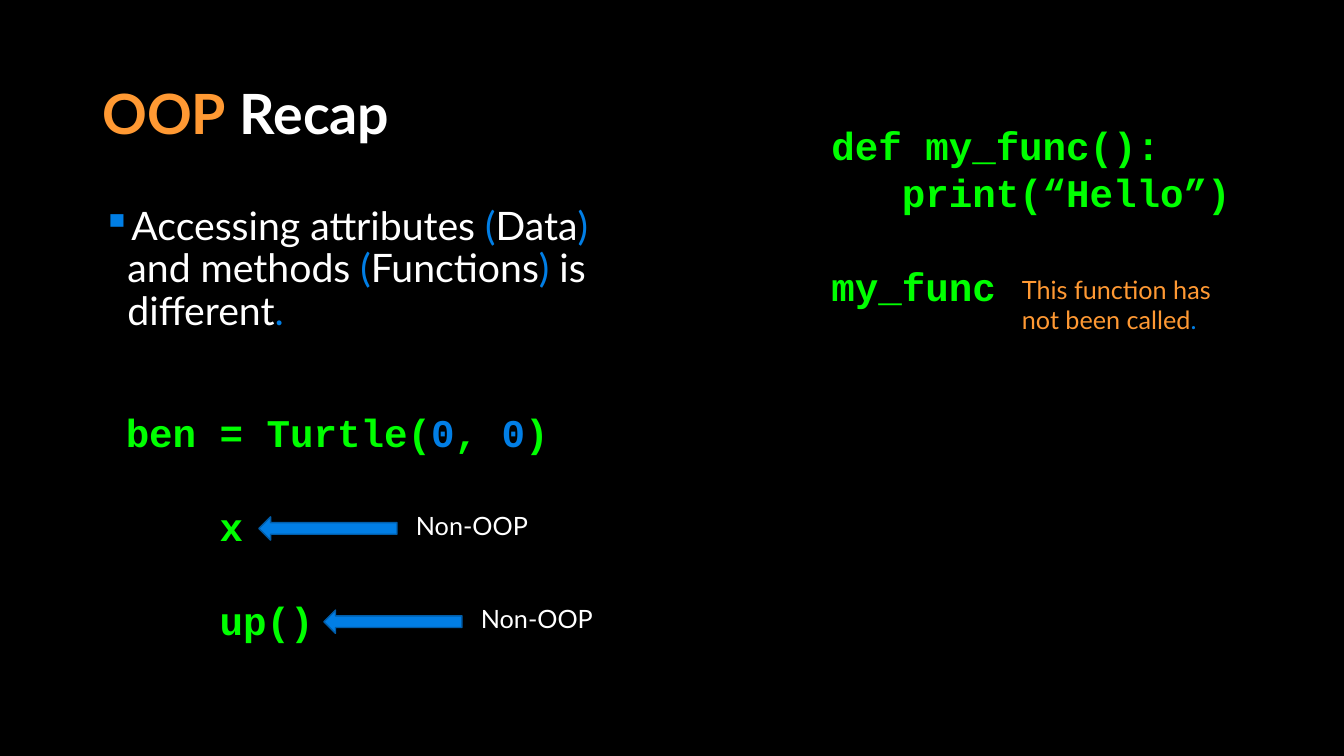
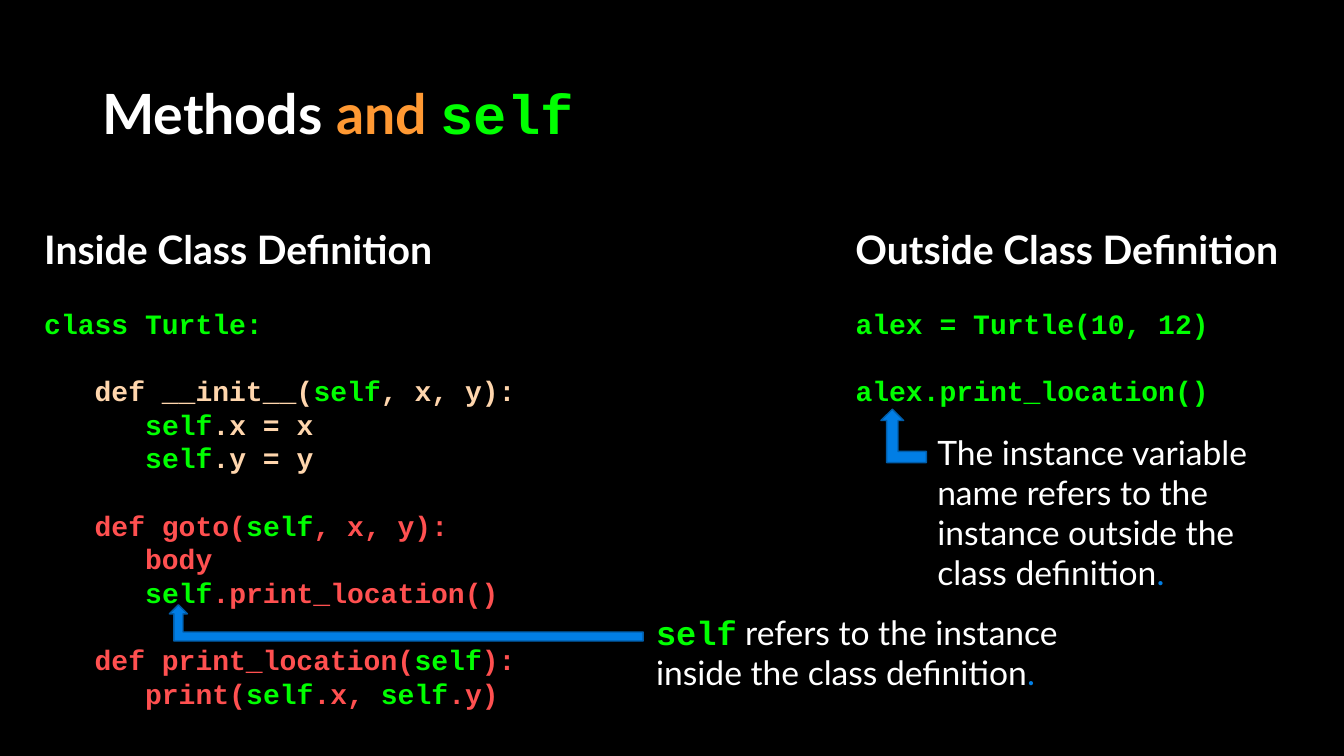
from dataclasses import dataclass
from typing import NamedTuple, Optional

from lxml.etree import SubElement
from pptx import Presentation
from pptx.dml.color import RGBColor
from pptx.enum.shapes import MSO_SHAPE
from pptx.enum.text import MSO_ANCHOR
from pptx.oxml.ns import qn
from pptx.util import Pt


@dataclass(frozen=True)
class Theme:
    black: str = "000000"
    white: str = "FFFFFF"
    blue: str = "017EE5"
    navy: str = "015DA9"
    mark: str = "007EE5"
    orange: str = "FF9933"
    green: str = "00FF00"
    peach: str = "FFD6AD"
    red: str = "FF5050"
    sans: str = "Lato"
    mono: str = "Courier New"
    title: float = 39.6
    large: float = 28
    note: float = 24
    code: float = 20
    label: float = 18
    tight: float = 0.9
    pitch: float = 1.2


T = Theme()


class Area(NamedTuple):
    left: float
    top: float
    width: float
    height: float

    def points(self) -> list:
        return [Pt(value) for value in self]


class Span(NamedTuple):
    text: str
    color: str = T.white
    font: str = T.sans
    bold: bool = False


class Arrow(NamedTuple):
    kind: MSO_SHAPE
    area: Area
    flip: bool = False


Line = list[Span]

DOT = Span(".", T.blue)


def head(text: str, color: str = T.white) -> Span:
    return Span(text, color, bold=True)


def code(text: str, color: str = T.green) -> Span:
    return Span(text, color, T.mono, True)


SELF = code("self")


def around(text: str, color: str) -> Line:
    """Colour a code line, with every self in green."""
    line: Line = []
    for index, part in enumerate(text.split("self")):
        if index:
            line.append(SELF)
        if part:
            line.append(code(part, color))
    return line


def fill_line(para, line: Line, size: float) -> None:
    for span in line:
        run = para.add_run()
        run.text = span.text
        font = run.font
        font.name, font.size, font.bold = span.font, Pt(size), span.bold
        font.color.rgb = RGBColor.from_string(span.color)


def add_text(slide, area: Area, lines: list[Optional[Line]], size: float,
             wrap: bool = True):
    """Add a text box; None in lines leaves one line's height free."""
    frame = slide.shapes.add_textbox(*area.points()).text_frame
    frame.word_wrap = wrap
    para, gap = frame.paragraphs[0], 0
    for index, line in enumerate(lines):
        if line is None:
            gap += 1
            continue
        if index:
            para = frame.add_paragraph()
        if all(span.font == T.mono for span in line):
            para.line_spacing = Pt(size * T.pitch)
        if gap:
            para.space_before = Pt(gap * size * T.pitch)
        fill_line(para, line, size)
        gap = 0
    return frame


def add_bullet(para, indent: float) -> None:
    props = para._p.get_or_add_pPr()
    props.set("marL", str(Pt(indent)))
    props.set("indent", str(-Pt(indent)))
    color = SubElement(props, qn("a:buClr"))
    SubElement(color, qn("a:srgbClr")).set("val", T.mark)
    SubElement(props, qn("a:buChar")).set("char", "▪")


def add_arrow(slide, arrow: Arrow) -> None:
    shape = slide.shapes.add_shape(arrow.kind, *arrow.area.points())
    shape.shadow.inherit = False
    shape.fill.solid()
    shape.fill.fore_color.rgb = RGBColor.from_string(T.blue)
    shape.line.color.rgb = RGBColor.from_string(T.navy)
    shape.line.width = Pt(1)
    if arrow.flip:
        shape._element.spPr.xfrm.set("flipH", "1")


def add_slide(deck, title: Line):
    slide = deck.slides.add_slide(deck.slide_layouts[6])
    back = slide.background.fill
    back.solid()
    back.fore_color.rgb = RGBColor.from_string(T.black)
    frame = add_text(slide, Area(66, 57.6, 828, 51.8), [title], T.title)
    frame.vertical_anchor = MSO_ANCHOR.MIDDLE
    frame.paragraphs[0].line_spacing = T.tight
    return slide


def build_recap(deck) -> None:
    slide = add_slide(deck, [head("OOP", T.orange), head(" Recap")])
    point = [Span("Accessing attributes "), Span("(", T.blue), Span("Data"),
             Span(")", T.blue), Span(" and methods "), Span("(", T.blue),
             Span("Functions"), Span(")", T.blue), Span(" is different"), DOT]
    frame = add_text(slide, Area(66, 144, 379.5, 381), [point], T.large)
    para = frame.paragraphs[0]
    add_bullet(para, 18)
    para.line_spacing = T.tight

    make = [code("ben = Turtle("), code("0", T.blue), code(", "),
            code("0", T.blue), code(")")]
    add_text(slide, Area(82.8, 288, 355.7, 177),
             [make, None, [code("    x")], None, [code("    up()")]], T.large)
    for left, top in ((185, 369.2), (231.4, 435.8)):
        add_arrow(slide, Arrow(MSO_SHAPE.LEFT_ARROW,
                               Area(left, top, 98.6, 16.6)))
        add_text(slide, Area(left + 105, top - 8.3, 252.7, 29),
                 [[Span("Non-OOP")]], T.label)

    add_text(slide, Area(586.8, 82.8, 355.7, 143.3),
             [[code("def my_func():")], [code("   print(“Hello”)")], None,
              [code("my_func")]], T.large)
    add_text(slide, Area(722.9, 192.2, 179.3, 51),
             [[Span("This function has not been called", T.orange), DOT]],
             T.label)


def build_self(deck) -> None:
    slide = add_slide(deck, [head("Methods "), head("and ", T.orange), SELF])
    inside, outside = 24.5, 604
    for left, name in ((inside, "Inside"), (outside, "Outside")):
        add_text(slide, Area(left, 157.7, 332, 41),
                 [[head(f"{name} Class Definition")]], T.large, wrap=False)

    add_text(slide, Area(inside, 215.3, 508, 298), [
        [code("class Turtle:")],
        None,
        around("   def __init__(self, x, y):", T.peach),
        around("      self.x = x", T.peach),
        around("      self.y = y", T.peach),
        None,
        around("   def goto(self, x, y):", T.red),
        around("      body", T.red),
        around("      self.print_location()", T.red),
        None,
        around("   def print_location(self):", T.red),
        around("      print(self.x, self.y)", T.red),
    ], T.code)
    add_text(slide, Area(outside, 215.3, 291.6, 80),
             [[code("alex = Turtle(10, 12)")], None,
              [code("alex.print_location()")]], T.code)

    add_text(slide, Area(461.5, 433.4, 303.8, 65.5),
             [[SELF, Span(" refers to the instance inside the class "
                          "definition"), DOT]], T.note)
    add_text(slide, Area(662.4, 304.6, 257.8, 123.8),
             [[Span("The instance variable name refers to the instance "
                    "outside the class definition"), DOT]], T.note)
    for area in (Area(121, 432, 338.4, 25.9), Area(629.3, 292.3, 32.4, 38.2)):
        add_arrow(slide, Arrow(MSO_SHAPE.BENT_UP_ARROW, area, flip=True))


def main() -> None:
    deck = Presentation()
    deck.slide_width, deck.slide_height = Pt(960), Pt(540)
    build_recap(deck)
    build_self(deck)
    deck.save("out.pptx")


if __name__ == "__main__":
    main()
